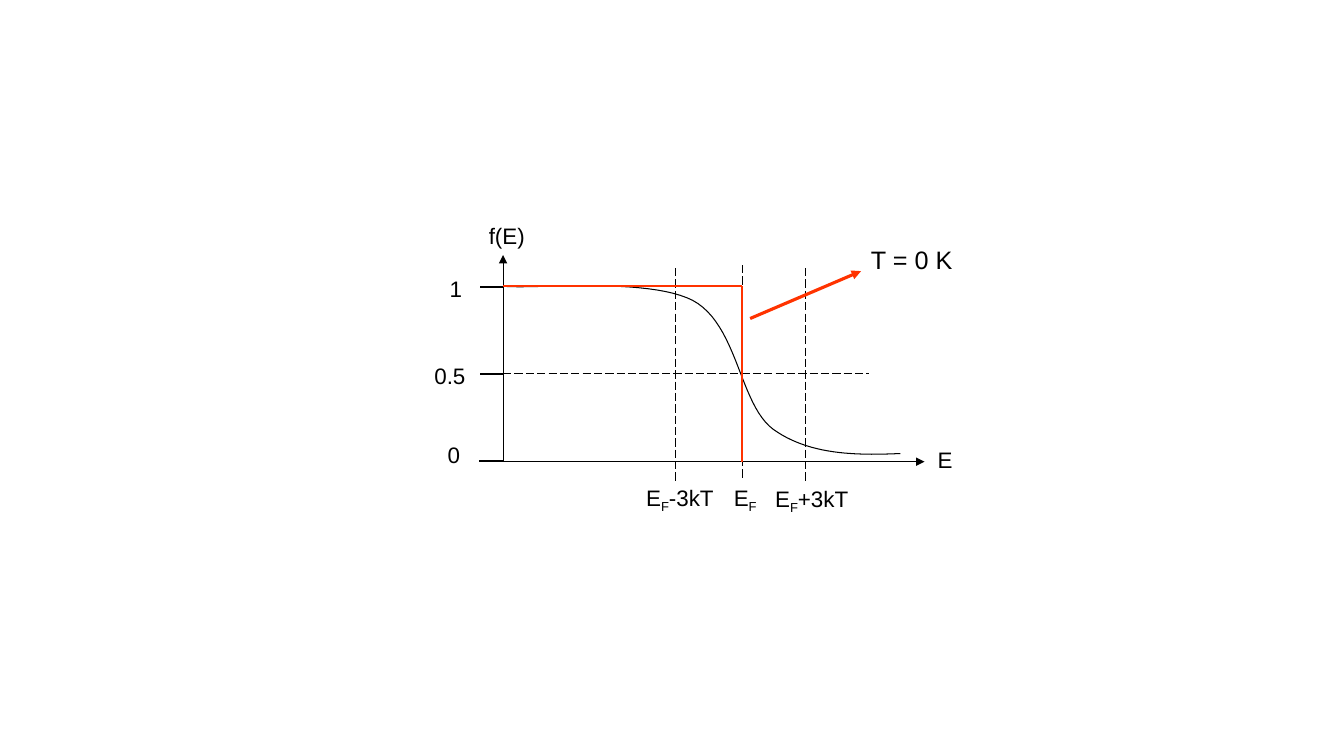
from pptx import Presentation
from pptx import util as u
from pptx.dml.color import RGBColor
from pptx.enum import dml, shapes, text
from pptx.oxml import ns
from lxml import etree

COLORS = {"ink": "000000", "step": "FF3300"}
ROWS = 75

presentation = Presentation()
presentation.slide_width = u.Inches(13.33)
presentation.slide_height = u.Inches(7.5)
slide = presentation.slides.add_slide(presentation.slide_layouts[6])
cell = presentation.slide_height / ROWS


def add_label(content, left=0, top=0, width=3.2, height=3.7, size=16, color="ink"):
    box = slide.shapes.add_textbox(*[int(n * cell) for n in (left, top, width, height)])
    frame = box.text_frame
    frame.word_wrap = False
    frame.auto_size = text.MSO_AUTO_SIZE.SHAPE_TO_FIT_TEXT
    for index, part in enumerate(content.split("_")):
        run = frame.paragraphs[0].add_run()
        run.text = part
        run.font.name = "Arial"
        run.font.size = u.Pt(size)
        run.font.color.rgb = RGBColor.from_string(COLORS[color])
        if index == 1:
            run.font._element.set("baseline", "-25000")


def add_line(start, end, width=0.75, color="ink", dashed=False, arrow=False):
    line = slide.shapes.add_connector(
        shapes.MSO_CONNECTOR.STRAIGHT, *[int(n * cell) for n in (*start, *end)])
    line.line.width = u.Pt(width)
    line.line.color.rgb = RGBColor.from_string(COLORS[color])
    if dashed:
        line.line.dash_style = dml.MSO_LINE.LONG_DASH
    if arrow:
        etree.SubElement(line.line._get_or_add_ln(), ns.qn("a:tailEnd"), type="triangle")
    etree.SubElement(line._element.spPr, ns.qn("a:effectLst"))


axis_x, axis_y = 49.9, 45.8
fermi_x, one_y, half_y = 73.6, 28.4, 37.1

add_line((axis_x, axis_y), (axis_x, 25.3), arrow=True)
add_line((axis_x, axis_y), (91.7, axis_y), arrow=True)
add_line((axis_x, half_y), (86.2, half_y), dashed=True)
for tick_y, tick_end in ((28.5, 47.6), (half_y, 47.6), (45.7, 47.5)):
    add_line((axis_x, tick_y), (tick_end, tick_y), width=1.5)
for guide_x, top, bottom in ((67, 26.6, 47.8), (fermi_x, 26.3, 47.6), (79.9, 26.6, 47.8)):
    add_line((guide_x, top), (guide_x, bottom), dashed=True)

curve_start = (axis_x, one_y)
curve_segments = [
    [(53.1, 28.7), (64.2, 27.5), (68.7, 29.8)],
    [(73.2, 32.2), (73.3, 40.1), (76.7, 42.6)],
    [(80.2, 45.1), (84.7, 45.2), (89.3, 45)],
]
STEPS = 24
points = []
start = curve_start
for first, second, end in curve_segments:
    for step in range(1, STEPS + 1):
        t = step / STEPS
        weights = ((1 - t) ** 3, 3 * t * (1 - t) ** 2, 3 * t ** 2 * (1 - t), t ** 3)
        points.append([sum(w * p[axis] for w, p in zip(weights, (start, first, second, end))) * cell
                       for axis in (0, 1)])
    start = end
builder = slide.shapes.build_freeform(*[int(n * cell) for n in curve_start])
builder.add_line_segments(points, close=False)
curve = builder.convert_to_shape()
curve.shadow.inherit = False
curve.fill.background()
curve.line.width = u.Pt(0.75)
curve.line.color.rgb = RGBColor.from_string(COLORS["ink"])

add_line((axis_x, one_y), (fermi_x, one_y), width=1.5, color="step")
add_line((fermi_x, one_y), (fermi_x, axis_y), width=1.5, color="step")
add_line((74.4, 31.6), (85.4, 26.9), width=2.25, color="step", arrow=True)

for content, left, top, width in (
    ("f(E)", 47.5, 21.5, 5.6),
    ("1", 43.6, 26.8, 3.2),
    ("0.5", 42.1, 35.4, 5.1),
    ("0", 43.4, 43.3, 3.2),
    ("E", 92, 43.8, 3.5),
    ("E_F_-3kT", 63.1, 47.5, 8.9),
    ("E_F", 71.8, 47.5, 4.4),
    ("E_F_+3kT", 75.9, 47.6, 9.4),
):
    add_label(content, left=left, top=top, width=width)
add_label("T = 0 K", left=85.4, top=23.7, width=10.2, height=4, size=18)

presentation.save("out.pptx")
